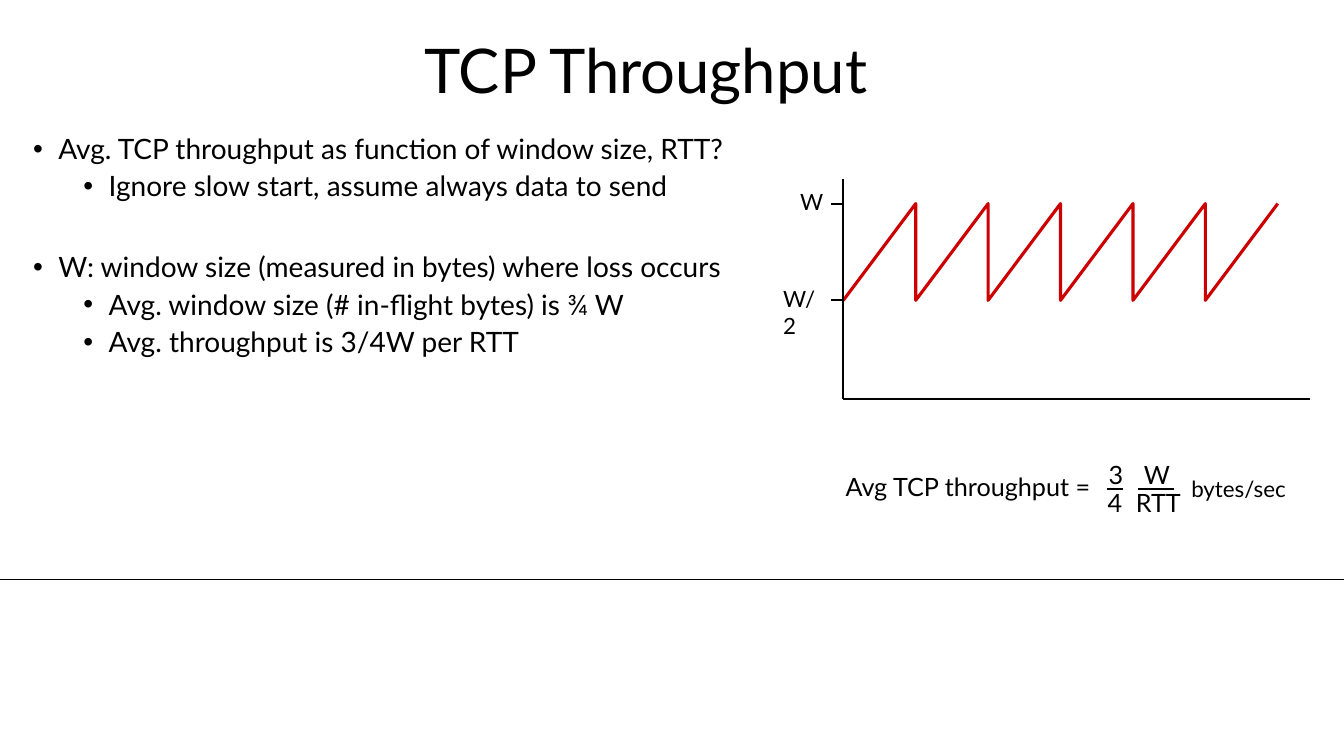
"""Build a slide on average TCP throughput with a sawtooth window sketch."""
from lxml import etree
from pptx import Presentation
from pptx.dml.color import RGBColor
from pptx.enum.shapes import MSO_CONNECTOR
from pptx.enum.text import MSO_ANCHOR, PP_ALIGN
from pptx.oxml.ns import qn
from pptx.util import Inches, Pt

LINE = MSO_CONNECTOR.STRAIGHT
MID = MSO_ANCHOR.MIDDLE
LEFT, CENTER = PP_ALIGN.LEFT, PP_ALIGN.CENTER
FONT = "Lato"
COLORS = {"ink": "000000", "saw": "CC0000"}
COLS, ROWS = 160, 90
CELL = Inches(7.5) // ROWS

deck = Presentation()
deck.slide_width, deck.slide_height = COLS * CELL, ROWS * CELL
slide = deck.slides.add_slide(deck.slide_layouts[5])
shapes = slide.shapes


def write(para, text, size=18, align=LEFT, lead=1.0, gap=0, bullet=None):
    if bullet is not None:
        props = para._p.get_or_add_pPr()
        props.set("marL", str(Inches(0.25 + 0.5 * bullet)))
        props.set("indent", str(Inches(-0.25)))
        props.set("lvl", str(bullet))
        etree.SubElement(props, qn("a:buFont"), typeface="Arial")
        etree.SubElement(props, qn("a:buChar"), char="•")
    para.text = text
    para.alignment, para.line_spacing = align, lead
    para.space_before = Pt(gap)
    font = para.runs[0].font
    font.name, font.size = FONT, Pt(size)
    font.color.rgb = RGBColor.from_string(COLORS["ink"])


def rule(left, top, right, low, width=1.5):
    ends = [round(n * CELL) for n in (left, top, right, low)]
    line = shapes.add_connector(LINE, *ends)
    line.line.width = Pt(width)
    line.line.color.rgb = RGBColor.from_string(COLORS["ink"])
    etree.SubElement(line._element.spPr, qn("a:effectLst"))


rule(0, 69, COLS, 69, width=0.5)

title = shapes.title
title.left, title.top = round(25.92 * CELL), round(3.12 * CELL)
title.width, title.height = 102 * CELL, round(11.16 * CELL)
title.text_frame.vertical_anchor = MID
write(title.text_frame.paragraphs[0], "TCP Throughput", size=44, align=CENTER, lead=0.9)

points = [
    (0, 0, "Avg. TCP throughput as function of window size, RTT?"),
    (1, 5, "Ignore slow start, assume always data to send"),
    (0, 36.5, "W: window size (measured in bytes) where loss occurs"),
    (1, 5, "Avg. window size (# in-flight bytes) is ¾ W"),
    (1, 5, "Avg. throughput is 3/4W per RTT"),
]
body = shapes.add_textbox(*[round(n * CELL) for n in (2.76, 15.48, 90.36, 60.96)])
frame = body.text_frame
frame.word_wrap = True
for i, (level, gap, text) in enumerate(points):
    para = frame.add_paragraph() if i else frame.paragraphs[0]
    write(para, text, size=20, lead=0.9, gap=gap, bullet=level)

AXIS, FLOOR, PEAK, HALF = 100.4, 47.52, 24.24, 35.76
TEETH, STEP = 6, 8.62
saw = []
for i in range(TEETH):
    saw += [(AXIS + i * STEP, HALF), (AXIS + (i + 1) * STEP, PEAK)]
saw = [(round(x * CELL), round(y * CELL)) for x, y in saw]
build = shapes.build_freeform(*saw[0])
build.add_line_segments(saw[1:], close=False)
wave = build.convert_to_shape()
wave.shadow.inherit = False
wave.fill.background()
wave.line.width = Pt(2.25)
wave.line.color.rgb = RGBColor.from_string(COLORS["saw"])

rule(AXIS, FLOOR, 156, FLOOR)
rule(AXIS, 21.36, AXIS, FLOOR)
for row in (PEAK, HALF):
    rule(AXIS - 1.5, row, AXIS, row)

BAR = 58.2
for left, right in ((131.76, 133.68), (135.48, 139.8)):
    rule(left, BAR, right, BAR)

labels = [
    ("W", 94.08, 21.84, 4.92, 16, False),
    ("W/2", 92.04, 33.36, 6.6, 16, True),
    ("Avg TCP throughput =", 99.48, 55.56, 34.08, 18, False),
    ("3", 130.8, 54.12, 4.08, 18, False),
    ("4", 130.68, 57.4, 4.08, 18, False),
    ("W", 135, 54.12, 5.28, 18, False),
    ("RTT", 134.04, 57.4, 7.8, 18, False),
    ("bytes/sec", 140.64, 55.92, 13.8, 16, False),
]
for text, left, top, width, size, wrap in labels:
    box = shapes.add_textbox(*[round(n * CELL) for n in (left, top, width, 4.8)])
    box.text_frame.word_wrap = wrap
    write(box.text_frame.paragraphs[0], text, size=size)

deck.save("out.pptx")
